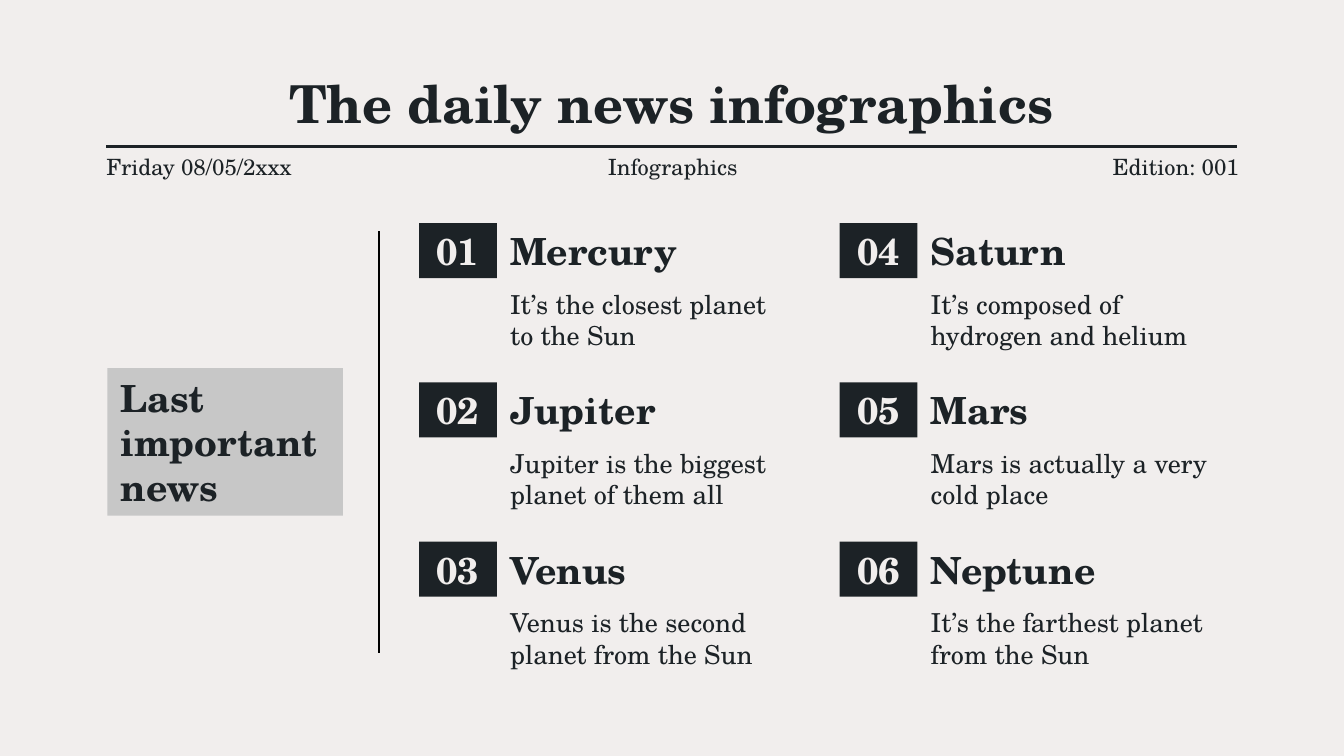
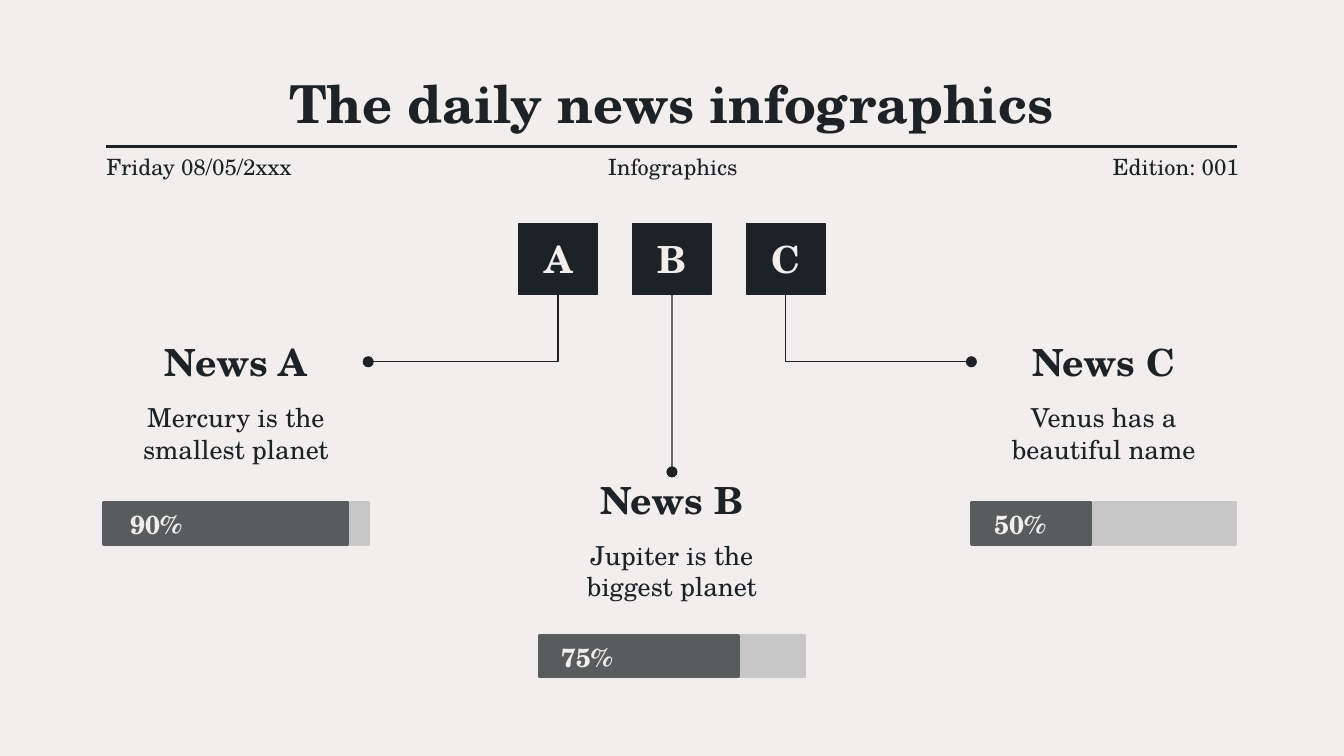
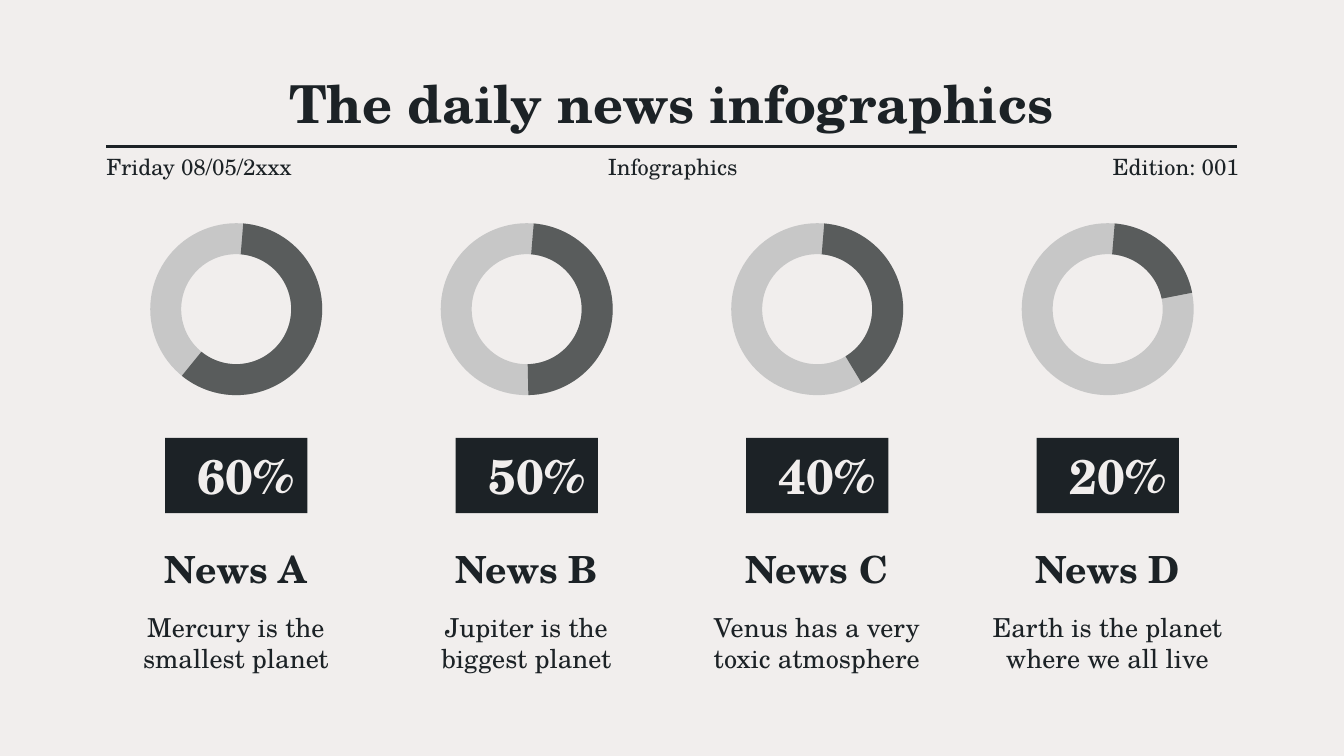
"""Build three newspaper-style infographic slides about the planets."""
from lxml import etree
from pptx import Presentation
from pptx.dml.color import RGBColor
from pptx.enum import shapes, text
from pptx.oxml import ns
from pptx.util import Cm, Pt

COLORS = {
    "paper": "F1EEED",
    "ink": "1C2226",
    "black": "000000",
    "silver": "C7C7C7",
    "slate": "595C5C",
}
FONT = "TeX Gyre Schola"
INSET = 0.25
LEFT, CENTER, RIGHT = text.PP_ALIGN.LEFT, text.PP_ALIGN.CENTER, text.PP_ALIGN.RIGHT
MIDDLE, TOP = text.MSO_ANCHOR.MIDDLE, text.MSO_ANCHOR.TOP
RECTANGLE = shapes.MSO_SHAPE.RECTANGLE
STRAIGHT, ELBOW = shapes.MSO_CONNECTOR.STRAIGHT, shapes.MSO_CONNECTOR.ELBOW


def add_box(page, bounds, fill=None, outline=0, kind=RECTANGLE):
    """Add a filled shape, or a text box when there is no fill."""
    bounds = [Cm(value) for value in bounds]
    if fill is None:
        return page.shapes.add_textbox(*bounds)
    box = page.shapes.add_shape(kind, *bounds)
    box.shadow.inherit = False
    box.fill.solid()
    box.fill.fore_color.rgb = RGBColor.from_string(COLORS[fill])
    if outline:
        box.line.color.rgb = RGBColor.from_string(COLORS[fill])
        box.line.width = Pt(outline)
    else:
        box.line.fill.background()
    return box


def write(box, content, size=14, bold=False, align=LEFT, color="ink", anchor=MIDDLE, inset=INSET):
    """Put one formatted paragraph into a box."""
    frame = box.text_frame
    frame.text = content
    frame.word_wrap = True
    frame.auto_size = text.MSO_AUTO_SIZE.NONE
    frame.vertical_anchor = anchor
    frame.margin_left = frame.margin_right = Cm(inset)
    frame.margin_top = frame.margin_bottom = Cm(INSET)
    paragraph = frame.paragraphs[0]
    paragraph.alignment = align
    for span in paragraph.runs:
        span.font.name = FONT
        span.font.size = Pt(size)
        span.font.bold = bold
        span.font.color.rgb = RGBColor.from_string(COLORS[color])


deck = Presentation()
deck.slide_width, deck.slide_height = Cm(25.4), Cm(14.29)
background = deck.slide_master.background.fill
background.solid()
background.fore_color.rgb = RGBColor.from_string(COLORS["paper"])
layout = deck.slide_layouts.get_by_name("Title Only")
pages = [deck.slides.add_slide(layout) for number in range(3)]
planets_page, bars_page, rings_page = pages
lines = []

rule = planets_page.shapes.add_connector(STRAIGHT, Cm(2.01), Cm(2.77), Cm(23.37), Cm(2.77))
layout.shapes.element.append(rule.element)
lines.append((rule, "ink", 1.5, False))

masthead = [
    ("Friday 08/05/2xxx", LEFT, 0),
    ("Infographics", CENTER, INSET),
    ("Edition: 001", RIGHT, 0),
]
for page in pages:
    title = page.shapes.title
    title.left, title.top, title.width, title.height = Cm(2.03), Cm(1.35), Cm(21.31), Cm(1.17)
    write(title, "The daily news infographics", 28, True, CENTER)
    for column, (label, align, inset) in enumerate(masthead):
        box = add_box(page, (2.01 + 8.56 * column, 2.9, 4.29, 0.48))
        write(box, label, 12, align=align, inset=inset)

divider = planets_page.shapes.add_connector(STRAIGHT, Cm(7.16), Cm(4.37), Cm(7.16), Cm(12.34))
lines.append((divider, "black", 0.75, False))
box = add_box(planets_page, (2.03, 6.96, 4.45, 2.79), "silver")
write(box, "Last important news", 20, True)

planets = [
    ("Mercury", "It’s the closest planet to the Sun"),
    ("Jupiter", "Jupiter is the biggest planet of them all"),
    ("Venus", "Venus is the second planet from the Sun"),
    ("Saturn", "It’s composed of hydrogen and helium"),
    ("Mars", "Mars is actually a very cold place"),
    ("Neptune", "It’s the farthest planet from the Sun"),
]
for index, (planet, fact) in enumerate(planets):
    column, row = divmod(index, 3)
    left, top = 7.92 + 7.95 * column, 4.22 + 3.01 * row
    badge = add_box(planets_page, (left, top, 1.47, 1.04), "ink")
    write(badge, f"{index + 1:02}", 20, True, CENTER, "paper")
    write(add_box(planets_page, (left + 1.47, top, 5.92, 1.04)), planet, 20, True)
    write(add_box(planets_page, (left + 1.47, top + 1.17, 5.92, 1.3)), fact)

bars = [
    ("A", "Mercury is the smallest planet", "90%", 1.96, 6.32, 9.5, 4.62, 0.25, 3),
    ("B", "Jupiter is the biggest planet", "75%", 10.2, 8.92, 12.01, 3.76, 0.15, 0),
    ("C", "Venus has a beautiful name", "50%", 18.36, 6.32, 9.5, 2.26, 0.18, 1),
]
for index, (letter, fact, share, left, top, bar_top, filled, indent, side) in enumerate(bars):
    tile = add_box(bars_page, (9.81 + 2.15 * index, 4.22, 1.48, 1.35), "ink", 0.75)
    write(tile, letter, 20, True, CENTER, "paper")
    heading = add_box(bars_page, (left, top, 5, 1.04))
    write(heading, f"News {letter}", 20, True, CENTER)
    write(add_box(bars_page, (left, top + 1.22, 5, 1.3)), fact, align=CENTER)
    add_box(bars_page, (left, bar_top, 5, 0.79), "silver", 1.5)
    add_box(bars_page, (left, bar_top, filled, 0.79), "slate", 1.5)
    label = add_box(bars_page, (left + indent, bar_top + 0.1, 1.85, 0.61))
    write(label, share, bold=True, color="paper")

    link = bars_page.shapes.add_connector(ELBOW if side else STRAIGHT, 0, 0, 0, 0)
    link.begin_connect(heading, side)
    link.end_connect(tile, 2)
    if side:
        link.element.spPr.find(ns.qn("a:prstGeom")).set("prst", "bentConnector2")
    lines.append((link, "ink", 0.75, True))

rings = [
    ("A", "Mercury is the smallest planet", "60%", 129.2),
    ("B", "Jupiter is the biggest planet", "50%", 88.9),
    ("C", "Venus has a very toxic atmosphere", "40%", 59),
    ("D", "Earth is the planet where we all live", "20%", 349),
]
for index, (letter, fact, share, end_angle) in enumerate(rings):
    left = 1.96 + 5.49 * index
    ring = (left + 0.88, 4.22, 3.25, 3.25)
    track = add_box(rings_page, ring, "silver", kind=shapes.MSO_SHAPE.DONUT)
    track.adjustments[0] = 0.18
    arc = add_box(rings_page, ring, "slate", kind=shapes.MSO_SHAPE.BLOCK_ARC)
    for position, value in enumerate((274.7 * 0.6, end_angle * 0.6, 0.18)):
        arc.adjustments[position] = value
    badge = add_box(rings_page, (left + 1.16, 8.28, 2.69, 1.42), "ink")
    write(badge, share, 26, True, RIGHT, "paper")
    heading = add_box(rings_page, (left, 10.08, 5, 1.14))
    write(heading, f"News {letter}", 20, True, CENTER, anchor=TOP)
    write(add_box(rings_page, (left, 11.3, 5, 1.5)), fact, align=CENTER, anchor=TOP)

for line, color, width, dotted in lines:
    line.line.color.rgb = RGBColor.from_string(COLORS[color])
    line.line.width = Pt(width)
    properties = line.element.spPr
    if dotted:
        etree.SubElement(properties.find(ns.qn("a:ln")), ns.qn("a:headEnd"), type="oval")
    etree.SubElement(properties, ns.qn("a:effectLst"))

deck.save("out.pptx")
